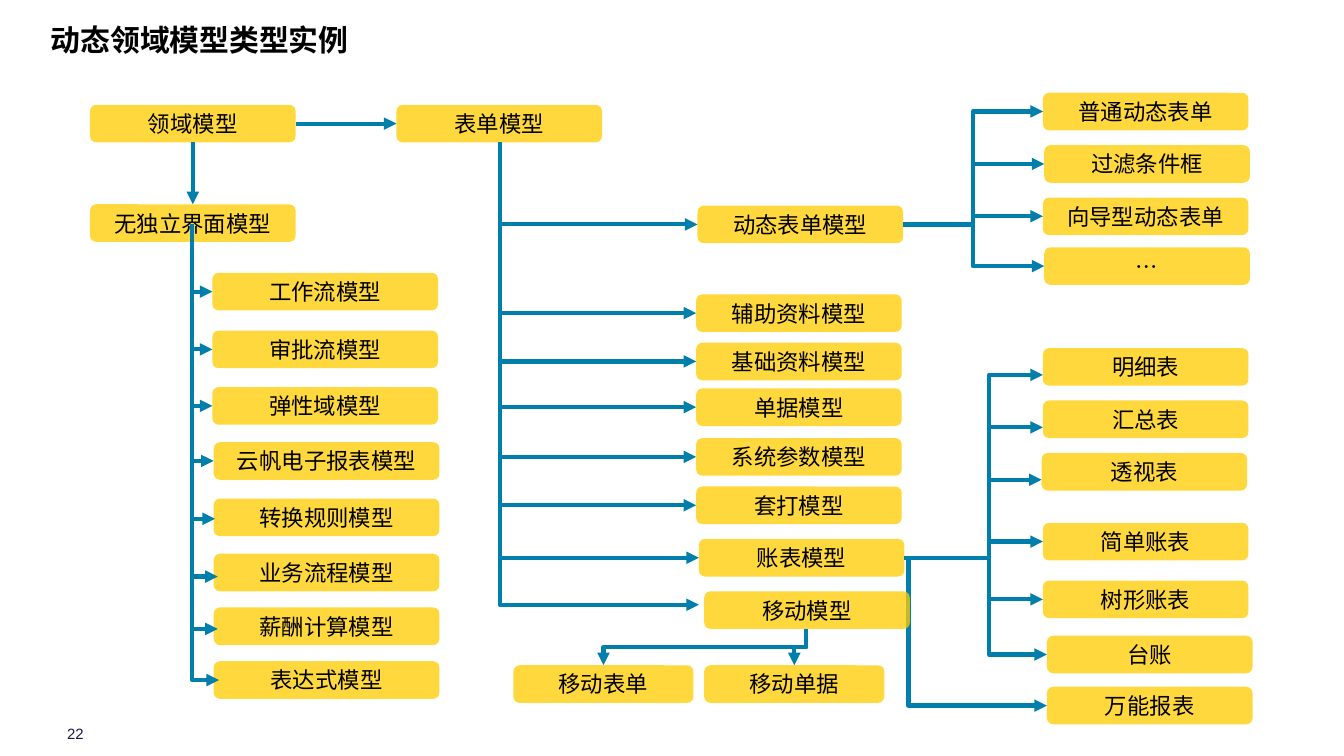
from lxml.etree import SubElement
from pptx import Presentation
from pptx.dml.color import RGBColor
from pptx.enum.shapes import MSO_CONNECTOR, MSO_SHAPE
from pptx.enum.text import MSO_ANCHOR, PP_ALIGN
from pptx.oxml.ns import qn
from pptx.util import Inches, Pt

FONT = "Noto Sans CJK SC"
BOX_HEIGHT = 0.28
WIDE = 1.53
SERVICE_WIDTH = 1.68
MOBILE_WIDTH = 1.34
SERVICE_TRUNK = 1.43
FORM_TRUNK = 3.72
DYNAMIC_TRUNK = 7.24
REPORT_TRUNK = 7.36

SERVICE_MODELS = [
    ("工作流模型", 1.58, 2.03, 1.58, 2.17),
    ("审批流模型", 1.58, 2.46, 1.58, 2.6),
    ("弹性域模型", 1.58, 2.88, 1.58, 3.02),
    ("云帆电子报表模型", 1.59, 3.29, 1.59, 3.43),
    ("转换规则模型", 1.59, 3.71, 1.6, 3.86),
    ("业务流程模型", 1.59, 4.12, 1.62, 4.29),
    ("薪酬计算模型", 1.59, 4.52, 1.62, 4.68),
    ("表达式模型", 1.59, 4.92, 1.63, 5.06),
]
FORM_MODELS = [
    ("辅助资料模型", 5.18, 2.19),
    ("基础资料模型", 5.18, 2.55),
    ("单据模型", 5.18, 2.89),
    ("系统参数模型", 5.18, 3.26),
    ("套打模型", 5.18, 3.62),
    ("账表模型", 5.2, 4.01),
]
DYNAMIC_FORMS = [
    ("普通动态表单", 7.76, 0.69),
    ("过滤条件框", 7.77, 1.08),
    ("向导型动态表单", 7.76, 1.47),
    ("…", 7.77, 1.84),
]
SIMPLE_REPORTS = [
    ("明细表", 7.76, 2.59),
    ("汇总表", 7.76, 2.98),
    ("透视表", 7.75, 3.37),
]
REPORTS = [
    ("简单账表", 7.76, 3.89),
    ("树形账表", 7.76, 4.32),
    ("台账", 7.79, 4.73),
]
MOBILE_FORMS = [("移动表单", 3.82, 4.95), ("移动单据", 5.24, 4.95)]


def color(value):
    return RGBColor.from_string(value)


def write(frame, text, size=12, font=FONT, fill="000000", bold=False,
          align=PP_ALIGN.LEFT):
    frame.word_wrap = True
    frame.vertical_anchor = MSO_ANCHOR.MIDDLE
    para = frame.paragraphs[0]
    para.alignment = align
    span = para.add_run()
    span.text = text
    span.font.size = Pt(size)
    span.font.name = font
    span.font.bold = bold
    span.font.color.rgb = color(fill)
    SubElement(span.font._element, qn("a:ea"), typeface=font)


def add_label(page, text, left, top, width, height, margin=None, **style):
    box = page.shapes.add_textbox(*map(Inches, (left, top, width, height)))
    frame = box.text_frame
    if margin is not None:
        frame.margin_left = frame.margin_right = Inches(margin)
        frame.margin_top = frame.margin_bottom = Inches(margin)
    write(frame, text, **style)


def add_model(page, text, left, top, width=WIDE):
    box = page.shapes.add_shape(
        MSO_SHAPE.ROUNDED_RECTANGLE,
        *map(Inches, (left, top, width, BOX_HEIGHT)))
    box.shadow.inherit = False
    box.fill.solid()
    box.fill.fore_color.rgb = color("FFCC00")
    shade = box.fill._xPr.find(".//" + qn("a:srgbClr"))
    SubElement(shade, qn("a:alpha"), val="76000")
    box.line.fill.background()
    write(box.text_frame, text, align=PP_ALIGN.CENTER)
    return box


def add_arrow(page, start, end, kind=MSO_CONNECTOR.STRAIGHT):
    arrow = page.shapes.add_connector(kind, *map(Inches, (*start, *end)))
    arrow.line.color.rgb = color("007FAC")
    arrow.line.width = Pt(2.25)
    SubElement(arrow.line._get_or_add_ln(), qn("a:tailEnd"), type="triangle")
    SubElement(arrow._element.spPr, qn("a:effectLst"))
    return arrow


def add_elbow(page, start, end, bend):
    arrow = add_arrow(page, start, end, MSO_CONNECTOR.ELBOW)
    share = round(100000 * (bend - start[0]) / (end[0] - start[0]))
    geometry = arrow._element.spPr.find(qn("a:prstGeom"))
    guides = geometry.find(qn("a:avLst"))
    if guides is None:
        guides = SubElement(geometry, qn("a:avLst"))
    SubElement(guides, qn("a:gd"), name="adj1", fmla=f"val {share}")


def add_drop(page, start, end):
    middle_x, middle_y = (start[0] + end[0]) / 2, (start[1] + end[1]) / 2
    half_run, half_drop = (start[0] - end[0]) / 2, (end[1] - start[1]) / 2
    arrow = add_arrow(page, (middle_x - half_drop, middle_y - half_run),
                      (middle_x + half_drop, middle_y + half_run),
                      MSO_CONNECTOR.ELBOW)
    arrow._element.spPr.find(qn("a:xfrm")).set("rot", "5400000")


def add_branches(page, models, start, bend, entry=BOX_HEIGHT / 2):
    for text, left, top in models:
        add_model(page, text, left, top)
        add_elbow(page, start, (left, top + entry), bend)


def add_services(page):
    for text, left, top, *end in SERVICE_MODELS:
        add_model(page, text, left, top, SERVICE_WIDTH)
        add_elbow(page, (SERVICE_TRUNK, 1.67), end, SERVICE_TRUNK)


def add_mobile(page):
    add_elbow(page, (FORM_TRUNK, 1.06), (5.2, 4.5), FORM_TRUNK)
    add_model(page, "移动模型", 5.24, 4.4)
    for text, left, top in MOBILE_FORMS:
        add_model(page, text, left, top, MOBILE_WIDTH)
        add_drop(page, (6, 4.68), (left + MOBILE_WIDTH / 2, top))


def main():
    deck = Presentation()
    deck.slide_width = Inches(10)
    deck.slide_height = deck.slide_width * 9 // 16
    page = deck.slides.add_slide(deck.slide_layouts[6])
    add_label(page, "22", 0.5, 5.39, 0.25, 0.14, margin=0, size=8,
              font="Arial", fill="1A154C")
    add_label(page, "动态领域模型类型实例", 0.28, 0.02, 8.62, 0.55,
              size=16, bold=True)

    domain = add_model(page, "领域模型", 0.67, 0.78)
    form = add_model(page, "表单模型", 2.95, 0.78)
    faceless = add_model(page, "无独立界面模型", 0.67, 1.52)
    dynamic = add_model(page, "动态表单模型", 5.19, 1.53)

    across = add_arrow(page, (2.2, 0.92), (2.95, 0.92))
    across.begin_connect(domain, 3)
    across.end_connect(form, 1)
    down = add_arrow(page, (1.43, 1.06), (1.43, 1.52))
    down.begin_connect(domain, 2)
    down.end_connect(faceless, 0)
    add_arrow(page, (FORM_TRUNK, 1.67), (5.19, 1.67)).end_connect(dynamic, 1)

    add_services(page)
    add_branches(page, FORM_MODELS, (FORM_TRUNK, 1.06), FORM_TRUNK)
    add_branches(page, DYNAMIC_FORMS, (6.72, 1.67), DYNAMIC_TRUNK)
    add_branches(page, REPORTS, (6.73, 4.15), REPORT_TRUNK)
    add_branches(page, SIMPLE_REPORTS, (REPORT_TRUNK, 4.03), REPORT_TRUNK,
                 entry=0.2)
    add_branches(page, [("万能报表", 7.79, 5.11)], (6.76, 4.16), 6.76)
    add_mobile(page)
    deck.save("out.pptx")


if __name__ == "__main__":
    main()
